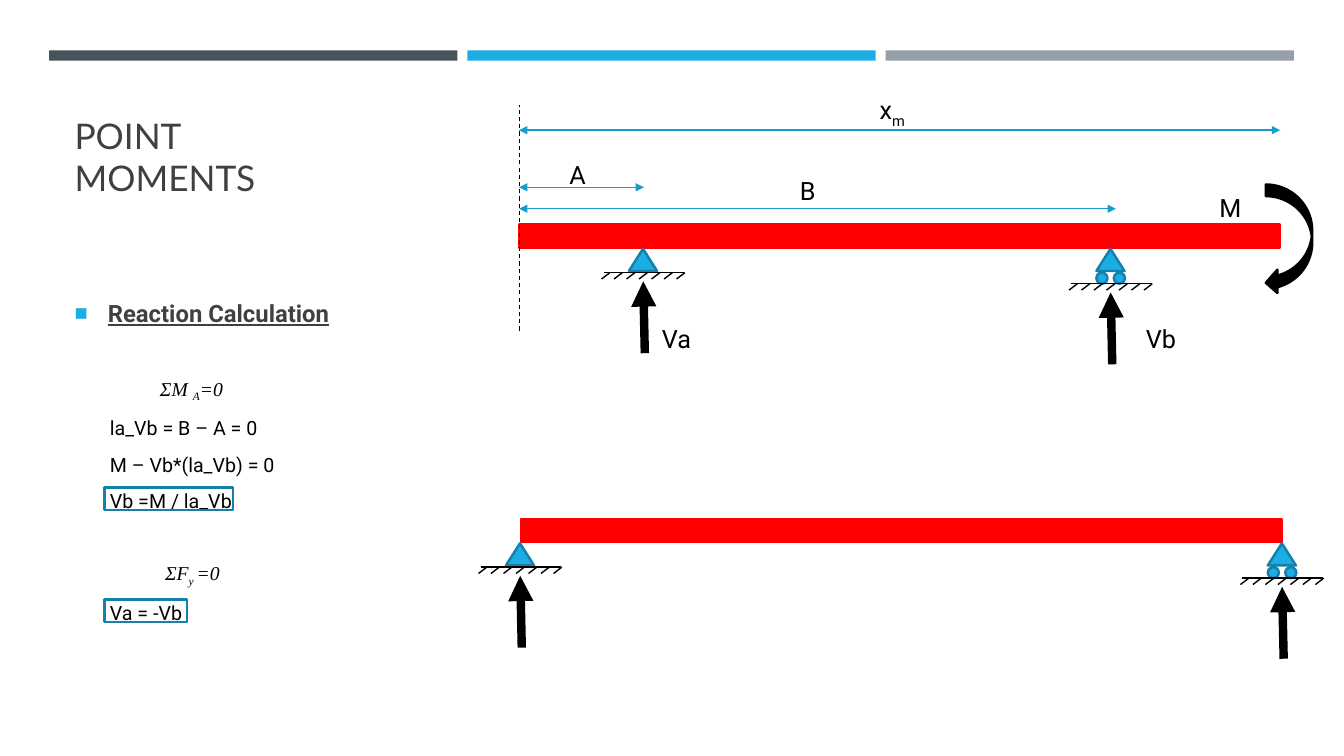
from lxml import etree
from pptx import Presentation
from pptx import util as u
from pptx.dml.color import RGBColor
from pptx.enum import dml, shapes, text
from pptx.oxml.ns import qn

COLORS = {
    "slate": "465359", "blue": "1CADE4", "grey": "969FA7", "edge": "1580A9",
    "dimension": "189CCE", "beam": "FF0000", "black": "000000", "heading": "404040",
}
AUTO = shapes.MSO_SHAPE


def rgb(name):
    return RGBColor.from_string(COLORS[name])


def add_box(slide, kind, left, top, width, height, fill=None, line=None):
    shape = slide.shapes.add_shape(kind, u.Cm(left), u.Cm(top), u.Cm(width), u.Cm(height))
    shape.shadow.inherit = False
    if fill:
        shape.fill.solid()
        shape.fill.fore_color.rgb = rgb(fill)
    else:
        shape.fill.background()
    if line:
        shape.line.color.rgb = rgb(line)
        shape.line.width = u.Pt(1.75)
    else:
        shape.line.fill.background()


def add_line(slide, start, end, color="black", width=1, arrows=(), dashed=False):
    """Draw a line; arrows lists the ends ("headEnd", "tailEnd") with a triangle."""
    x1, y1, x2, y2 = (u.Cm(value) for value in (*start, *end))
    connector = slide.shapes.add_connector(shapes.MSO_CONNECTOR.STRAIGHT, x1, y1, x2, y2)
    connector.line.color.rgb = rgb(color)
    connector.line.width = u.Pt(width)
    if dashed:
        connector.line.dash_style = dml.MSO_LINE.DASH
    for arrow in arrows:
        etree.SubElement(connector.line._get_or_add_ln(), qn("a:" + arrow), type="triangle")
    etree.SubElement(connector._element.spPr, qn("a:effectLst"))


def add_frame(slide, left, top, width, height):
    shape = slide.shapes.add_textbox(u.Cm(left), u.Cm(top), u.Cm(width), u.Cm(height))
    shape.text_frame.word_wrap = True
    return shape.text_frame


def add_run(paragraph, content, size, font="Roboto", color="black", subscript=False):
    run = paragraph.add_run()
    run.text = content
    run.font.size = u.Pt(size)
    run.font.name = font
    run.font.color.rgb = rgb(color)
    if subscript:
        run.font._element.set("baseline", "-25000")
    return run


def add_label(slide, content, left, top, width, subscript=""):
    paragraph = add_frame(slide, left, top, width, 1.02).paragraphs[0]
    add_run(paragraph, content, 18)
    if subscript:
        add_run(paragraph, subscript, 18, subscript=True)


def indent(paragraph, margin, first=0.0):
    properties = paragraph._p.get_or_add_pPr()
    properties.set("marL", str(u.Cm(margin)))
    properties.set("indent", str(u.Cm(first)))
    return properties


def add_bullet(paragraph):
    properties = indent(paragraph, 0.84, -0.84)
    color = etree.SubElement(properties, qn("a:buClr"))
    etree.SubElement(color, qn("a:srgbClr"), val=COLORS["blue"])
    etree.SubElement(properties, qn("a:buSzPct"), val="92000")
    etree.SubElement(properties, qn("a:buFont"), typeface="Arial")
    etree.SubElement(properties, qn("a:buChar"), char="■")


def add_calculation(slide):
    frame = add_frame(slide, 1.63, 7.46, 10, 9)
    frame.margin_top = 0
    heading = frame.paragraphs[0]
    heading.line_spacing = 1.1
    heading.space_after = u.Pt(6)
    add_bullet(heading)
    run = add_run(heading, "Reaction Calculation", 17, color="heading")
    run.font.bold = run.font.underline = True

    # Equilibrium sums: (symbol, subscript, result) are italic, plain steps are strings
    steps = [
        (("ΣM ", "A", "=0"), 2.15, 29),
        ("la_Vb = B – A = 0", 0.89, 3.3),
        ("M – Vb*(la_Vb) = 0", 0.89, 3.3),
        ("Vb =M / la_Vb", 0.89, 3.3),
        (("ΣF", "y ", "=0"), 2.28, 28.5),
        ("Va = -Vb", 0.89, 3.3),
    ]
    for step, margin, before in steps:
        paragraph = frame.add_paragraph()
        paragraph.space_before = u.Pt(before)
        paragraph.space_after = u.Pt(6)
        indent(paragraph, margin)
        if isinstance(step, str):
            add_run(paragraph, step, 14)
            continue
        for position, part in enumerate(step):
            run = add_run(paragraph, part, 14, "Times New Roman", subscript=position == 1)
            run.font.italic = True


def add_support(slide, x, y, roller=False):
    """Support with its apex at (x, y), hatched ground and reaction arrow."""
    add_box(slide, AUTO.ISOSCELES_TRIANGLE, x - 0.36, y, 0.71, 0.56, "blue", "edge")
    ground = y + 0.6
    if roller:
        for offset in (-0.36, 0.08):
            add_box(slide, AUTO.OVAL, x + offset, ground, 0.28, 0.28, "blue", "edge")
        ground += 0.28
    add_line(slide, (x - 1, ground), (x + 1.04, ground))
    for index in range(7):
        hatch = x - 0.84 + 0.315 * index
        add_line(slide, (hatch, ground), (hatch - 0.21, ground + 0.16))
    add_line(slide, (x + 0.04, ground + 2.03), (x, ground + 0.22), width=6, arrows=["tailEnd"])


def main():
    presentation = Presentation()
    presentation.slide_width = u.Cm(33.87)
    presentation.slide_height = u.Cm(19.05)
    slide = presentation.slides.add_slide(presentation.slide_layouts[6])

    # Header bars
    for index, color in enumerate(("slate", "blue", "grey")):
        add_box(slide, AUTO.RECTANGLE, 1.24 + 10.54 * index, 1.27, 10.29, 0.26, color)

    # Title and calculation
    title = add_frame(slide, 1.63, 3.84, 7.72, 1.3)
    title.vertical_anchor = text.MSO_ANCHOR.BOTTOM
    add_run(title.paragraphs[0], "POINT MOMENTS", 25.2, "Lato", "heading")
    add_calculation(slide)
    for top, width in ((12.29, 3.23), (15.11, 2.08)):
        add_box(slide, AUTO.RECTANGLE, 2.64, top, width, 0.56, line="edge")

    # Beams with supports
    beams = [(13.08, 5.66, 16.21, 27.99), (13.13, 13.08, 13.11, 32.31)]
    for left, top, pin, roller in beams:
        add_box(slide, AUTO.RECTANGLE, left, top, 19.18, 0.58, "beam", "beam")
        add_support(slide, pin, top + 0.61)
        add_support(slide, roller, top + 0.61, roller=True)

    # Dimensions measured from the dashed reference line
    reference = 13.08
    add_line(slide, (reference, 8.33), (reference, 2.64), width=0.75, dashed=True)
    for y, end in ((3.28, 32.26), (4.72, 16.23), (5.26, 28.12)):
        add_line(slide, (reference, y), (end, y), "dimension", arrows=["headEnd", "tailEnd"])

    # Labels and applied moment
    add_label(slide, "x", 21.92, 2.26, 1.57, subscript="m")
    for content, left, top, width in (
        ("A", 14.1, 3.89, 1.57),
        ("B", 19.91, 4.29, 1.73),
        ("M", 30.48, 4.72, 1.17),
        ("Va", 16.43, 8.03, 2.11),
        ("Vb", 28.63, 8.03, 2.11),
    ):
        add_label(slide, content, left, top, width)
    add_box(slide, AUTO.CURVED_LEFT_ARROW, 31.9, 4.65, 1.17, 2.77, "black", "black")

    presentation.save("out.pptx")


if __name__ == "__main__":
    main()
